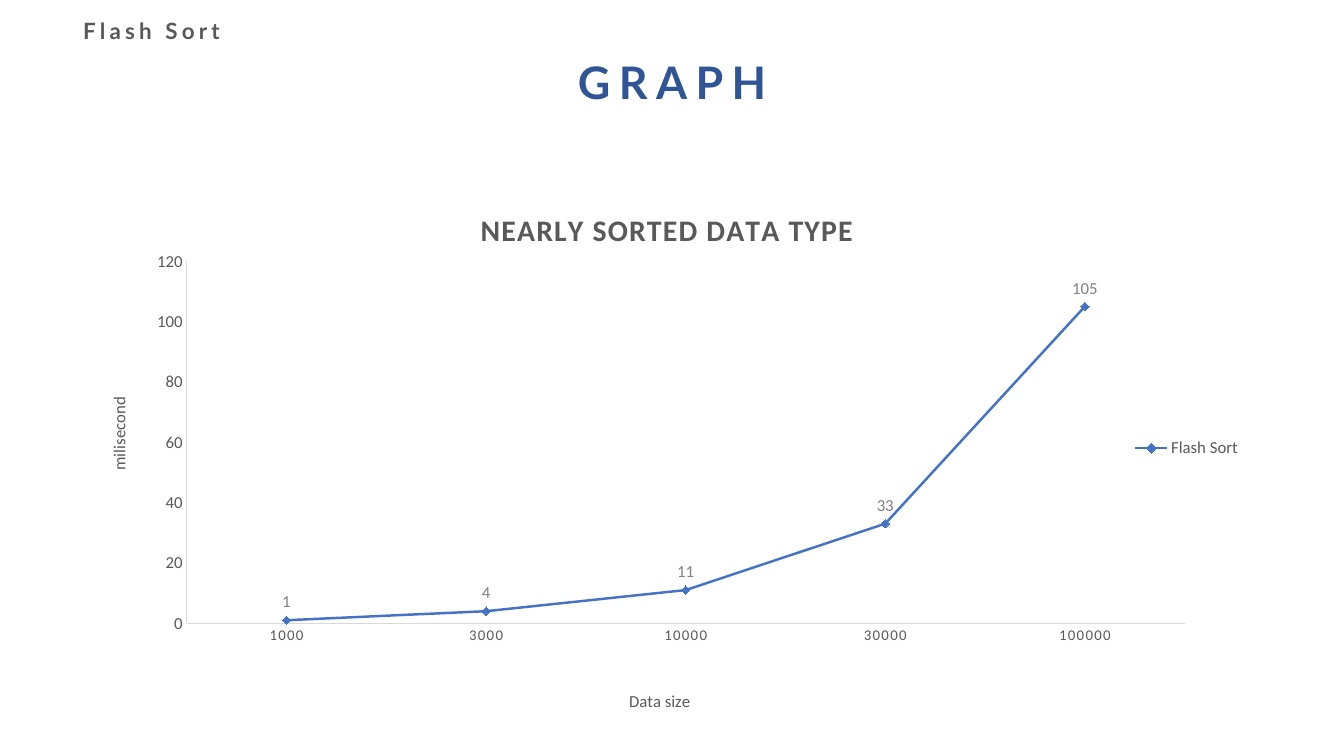
"""Build the slide that charts Flash Sort timings on nearly sorted data."""
from dataclasses import dataclass

from lxml.etree import SubElement
from pptx import Presentation
from pptx.chart.axis import _BaseAxis
from pptx.chart.chart import Chart
from pptx.chart.data import CategoryChartData
from pptx.dml.color import RGBColor
from pptx.enum.chart import (XL_CHART_TYPE, XL_LABEL_POSITION, XL_LEGEND_POSITION,
                             XL_MARKER_STYLE, XL_TICK_MARK)
from pptx.enum.text import MSO_ANCHOR, MSO_AUTO_SIZE, PP_ALIGN
from pptx.oxml.ns import qn
from pptx.oxml.xmlchemy import BaseOxmlElement
from pptx.shapes.autoshape import Shape
from pptx.text.text import Font
from pptx.util import Cm, Pt

GREY, BLUE, RULE = "595959", "4472C4", "D9D9D9"
TIMINGS = {"1000": 1, "3000": 4, "10000": 11, "30000": 33, "100000": 105}


@dataclass(frozen=True)
class Lettering:
    """Describe the look of a text."""
    size: float
    color: str = GREY
    name: str = "Calibri"
    bold: bool = False
    spacing: float = 0


@dataclass(frozen=True)
class Heading:
    """Describe a line of text on the page, with its box in centimetres."""
    text: str
    box: tuple[float, float, float, float]
    lettering: Lettering
    space_after: float = 0


@dataclass(frozen=True)
class Caption:
    """Describe a chart or axis title, placed as fractions of the chart."""
    text: str
    left: float
    top: float
    lettering: Lettering
    rotation: int = 0


PLAIN = Lettering(12)
TITLE = Heading("GRAPH", (13.56, 1.24, 6.76, 1.63),
                Lettering(32, "2F5597", "Lato", True, 6))
TOPIC = Heading("Flash Sort", (1.04, 0.3, 5.56, 0.94),
                Lettering(16, GREY, "Lato", True, 3), 6)
CHART_TITLE = Caption("NEARLY SORTED DATA TYPE", 0.33, 0.05,
                      Lettering(21.3, bold=True, spacing=1))
SIZE_TITLE = Caption("Data size", 0.46, 0.94, PLAIN)
TIME_TITLE = Caption("milisecond", 0.01, 0.4, PLAIN, -90)


def rgb(code: str) -> RGBColor:
    """Turn a hex string into a colour."""
    return RGBColor.from_string(code)


def style(font: Font, lettering: Lettering) -> None:
    """Apply a lettering to a font."""
    font.size = Pt(lettering.size)
    font.name = lettering.name
    font.bold = lettering.bold
    font.color.rgb = rgb(lettering.color)
    if lettering.spacing:
        font._rPr.set("spc", str(round(lettering.spacing * 100)))


def write_heading(shape: Shape, heading: Heading) -> None:
    """Place a shape and fill it with one centred line."""
    shape.left, shape.top, shape.width, shape.height = map(Cm, heading.box)
    frame = shape.text_frame
    frame.word_wrap = True
    frame.auto_size = MSO_AUTO_SIZE.SHAPE_TO_FIT_TEXT
    frame.vertical_anchor = MSO_ANCHOR.TOP
    para = frame.paragraphs[0]
    para.text = heading.text
    para.alignment = PP_ALIGN.CENTER
    para.line_spacing = 1.0
    para.space_before = Pt(0)
    para.space_after = Pt(heading.space_after)
    style(para.font, heading.lettering)


def set_layout(parent: BaseOxmlElement, index: int, **fractions: float) -> None:
    """Give a chart part a manual layout as its child at the index."""
    for former in parent.findall(qn("c:layout")):
        parent.remove(former)
    layout = SubElement(parent, qn("c:layout"))
    parent.insert(index, layout)
    manual = SubElement(layout, qn("c:manualLayout"))
    settings = {"xMode": "edge", "yMode": "edge", **fractions}
    if "w" in fractions:
        settings = {"layoutTarget": "inner", **settings}
    for tag, value in settings.items():
        SubElement(manual, qn(f"c:{tag}")).set("val", str(value))


def add_caption(owner: Chart | _BaseAxis, title: BaseOxmlElement, caption: Caption) -> None:
    """Write and place the title of a chart or an axis."""
    frame = (owner.chart_title if isinstance(owner, Chart) else owner.axis_title).text_frame
    para = frame.paragraphs[0]
    span = para.add_run()
    span.text = caption.text
    style(para.font, caption.lettering)
    style(span.font, caption.lettering)
    frame._txBody.bodyPr.set("rot", str(caption.rotation * 60000))
    frame._txBody.bodyPr.set("vert", "horz")
    set_layout(title, 1, x=caption.left, y=caption.top)


def format_axis(axis: _BaseAxis, lettering: Lettering, caption: Caption) -> None:
    """Format one axis with its labels and title."""
    axis.has_major_gridlines = False
    axis.major_tick_mark = axis.minor_tick_mark = XL_TICK_MARK.NONE
    axis.format.line.color.rgb = rgb(RULE)
    axis.format.line.width = Pt(0.75)
    style(axis.tick_labels.font, lettering)
    add_caption(axis, axis.axis_title._element, caption)


def format_series(chart: Chart) -> None:
    """Format the line, its markers and its value labels."""
    series = chart.plots[0].series[0]
    series.smooth = False
    series.format.line.color.rgb = rgb(BLUE)
    series.format.line.width = Pt(1.75)
    marker = series.marker
    marker.style = XL_MARKER_STYLE.DIAMOND
    marker.size = 6
    marker.format.fill.solid()
    marker.format.fill.fore_color.rgb = rgb(BLUE)
    marker.format.line.color.rgb = rgb(BLUE)
    labels = series.data_labels
    labels.show_value = True
    labels.position = XL_LABEL_POSITION.ABOVE
    style(labels.font, Lettering(12, "808080"))


def format_chart(chart: Chart) -> None:
    """Format the whole chart."""
    style(chart.font, Lettering(10, "000000"))
    chart.plots[0].vary_by_categories = False
    chart.has_title = True
    chart.chart_title.include_in_layout = False
    add_caption(chart, chart.chart_title._element, CHART_TITLE)
    chart.has_legend = True
    chart.legend.position = XL_LEGEND_POSITION.RIGHT
    chart.legend.include_in_layout = False
    style(chart.legend.font, PLAIN)
    format_axis(chart.category_axis, Lettering(10.6, spacing=1), SIZE_TITLE)
    format_axis(chart.value_axis, PLAIN, TIME_TITLE)
    chart.value_axis.minimum_scale = 0
    chart.value_axis.maximum_scale = 120
    chart.value_axis.major_unit = 20
    plot_area = chart._chartSpace.chart.plotArea
    set_layout(plot_area, 0, x=0.081, y=0.155, w=0.861, h=0.669)
    format_series(chart)


def main() -> None:
    """Build and save the deck."""
    deck = Presentation()
    deck.slide_width, deck.slide_height = Cm(33.87), Cm(19.05)
    page = deck.slides.add_slide(deck.slide_layouts[5])
    write_heading(page.shapes.title, TITLE)
    data = CategoryChartData()
    data.categories = list(TIMINGS)
    data.add_series("Flash Sort", list(TIMINGS.values()))
    frame = page.shapes.add_chart(XL_CHART_TYPE.LINE_MARKERS, Cm(2.34), Cm(4.47),
                                  Cm(29.21), Cm(13.64), data)
    format_chart(frame.chart)
    write_heading(page.shapes.add_textbox(*map(Cm, TOPIC.box)), TOPIC)
    deck.save("out.pptx")


if __name__ == "__main__":
    main()
